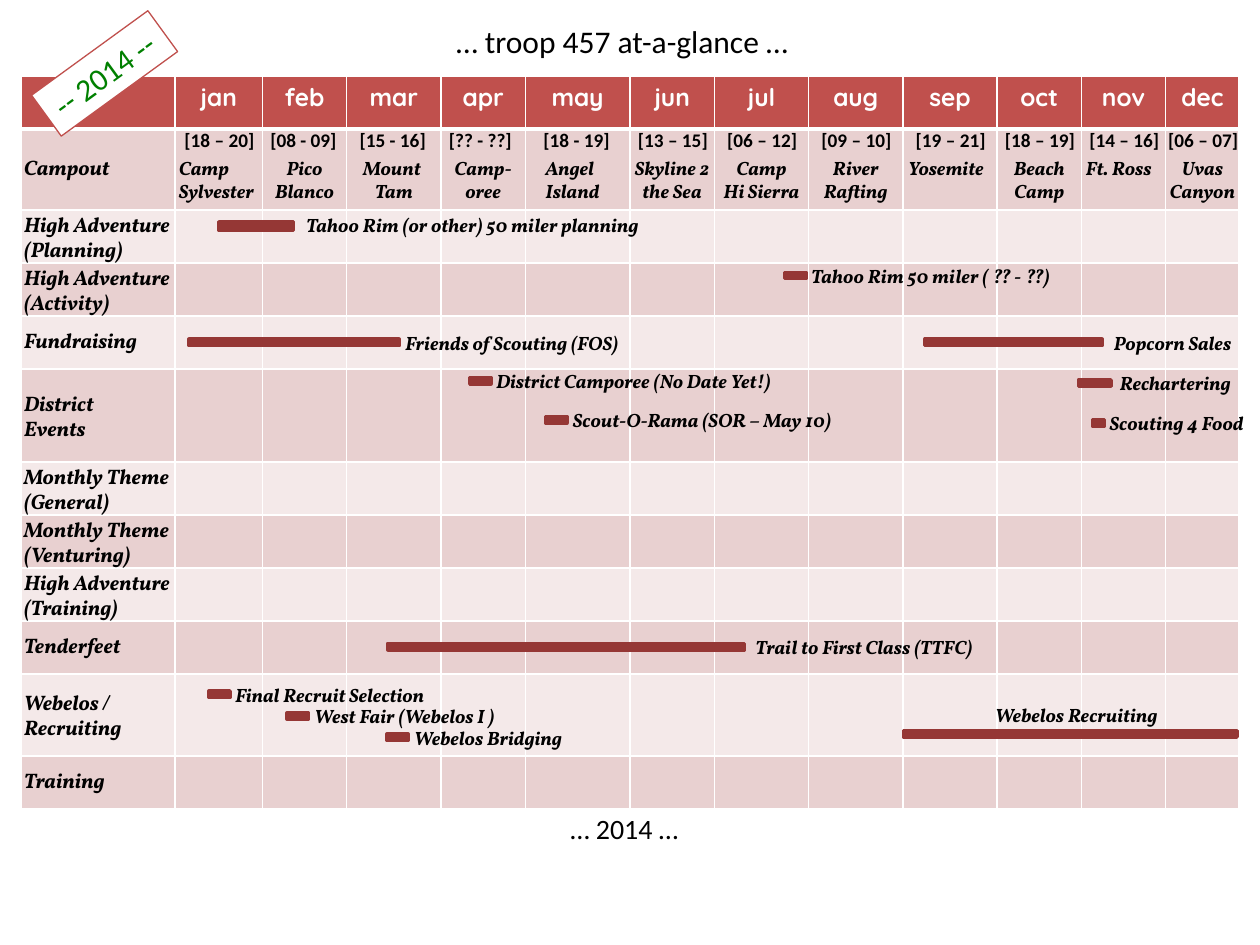
from lxml import etree
from pptx import Presentation
from pptx.dml.color import RGBColor
from pptx.enum import shapes, text
from pptx.oxml import ns
from pptx.util import Cm, Pt

RED, BAR, PINK, PALE = "C0504D", "953735", "E8D0D0", "F4E9E9"
WHITE, BLACK, GREEN = "FFFFFF", "000000", "008000"
LEFT, CENTER = text.PP_ALIGN.LEFT, text.PP_ALIGN.CENTER

COLUMNS = [3.1, 1.76, 1.7, 1.9, 1.7, 2.11, 1.7, 1.9, 1.9, 1.9, 1.7, 1.7, 1.48]
ROWS = [1.07, 1.63] + [1.07] * 3 + [1.87] + [1.07] * 4 + [1.65, 1.07]

# Month, campout date, place, place width, place alignment
CAMPOUTS = [
    ("jan", "[18 – 20]", "Camp\nSylvester", 2.11, LEFT),
    ("feb", "[08 - 09]", "Pico\nBlanco", 1.8, CENTER),
    ("mar", "[15 - 16]", "Mount \nTam", 1.78, CENTER),
    ("apr", "[?? - ??]", "Camp-\noree", 1.78, CENTER),
    ("may", "[18 - 19]", "Angel\nIsland", 1.8, LEFT),
    ("jun", "[13 – 15]", "Skyline 2\nthe Sea", 2.18, CENTER),
    ("jul", "[06 – 12]", "Camp\nHi Sierra", 2.16, CENTER),
    ("aug", "[09 – 10]", "River\nRafting", 1.93, CENTER),
    ("sep", "[19 – 21]", "Yosemite", 2.18, LEFT),
    ("oct", "[18 – 19]", "Beach\nCamp", 1.63, CENTER),
    ("nov", "[14 – 16]", "Ft. Ross", 2.03, LEFT),
    ("dec", "[06 – 07]", "Uvas\nCanyon", 1.96, CENTER),
]
# Row label, width
ACTIVITIES = [
    ("Campout", 2.34), ("High Adventure\n(Planning)", 3.61),
    ("High Adventure\n(Activity)", 3.61), ("Fundraising", 2.79),
    ("District\nEvents", 2.01), ("Monthly Theme\n(General)", 3.51),
    ("Monthly Theme\n(Venturing)", 3.51), ("High Adventure\n(Training)", 3.51),
    ("Tenderfeet", 2.49), ("Webelos /\nRecruiting", 2.51), ("Training", 2.16),
]
# Row, offset from row top, bar left, bar width, label left, label width, label
EVENTS = [
    (2, -0.05, 3.99, 1.5, 5.49, 7.42, "Tahoo Rim (or other) 50 miler planning"),
    (3, -0.1, 15.39, 0.43, 15.67, 5.54, "Tahoo Rim 50 miler ( ?? - ??)"),
    (4, 0.18, 3.38, 4.24, 7.49, 4.98, "Friends of Scouting (FOS)"),
    (4, 0.18, 18.21, 3.58, 21.77, 3.0, "Popcorn Sales"),
    (5, -0.12, 9.04, 0.43, 9.32, 6.32, "District Camporee (No Date Yet!)"),
    (5, 0.67, 10.57, 0.43, 10.87, 6.12, "Scout-O-Rama (SOR – May 10)"),
    (5, -0.07, 21.31, 0.66, 21.89, 3.0, "Rechartering"),
    (5, 0.73, 21.59, 0.25, 21.69, 3.3, "Scouting 4 Food"),
    (9, 0.16, 7.39, 7.19, 14.55, 5.16, "Trail to First Class (TTFC)"),
    (10, 0.05, 3.78, 0.43, 4.06, 4.5, "Final Recruit Selection"),
    (10, 0.49, 5.36, 0.43, 5.66, 4.39, "West Fair (Webelos I )"),
    (10, 0.92, 7.37, 0.43, 7.67, 3.58, "Webelos Bridging"),
    (10, 0.47, 17.78, 6.73, 19.38, 3.91, "Webelos Recruiting"),
]


def color(value):
    return RGBColor.from_string(value)


def write(frame, words, size, font="Calibri", ink=BLACK, bold=False,
          italic=False, align=LEFT):
    frame.text = words
    for para in frame.paragraphs:
        para.alignment = align
        for span in para.runs:
            span.font.name, span.font.size = font, Pt(size)
            span.font.bold, span.font.italic = bold, italic
            span.font.color.rgb = color(ink)


def add_label(page, left, top, width, height, words, size, **style):
    box = page.shapes.add_textbox(Cm(left), Cm(top), Cm(width), Cm(height))
    box.text_frame.word_wrap = False
    box.text_frame.auto_size = text.MSO_AUTO_SIZE.SHAPE_TO_FIT_TEXT
    write(box.text_frame, words, size, **style)


def add_script_label(page, left, top, width, height, words, size=11, align=LEFT):
    add_label(page, left, top, width, height, words, size, font="Vollkorn",
              bold=True, italic=True, align=align)


def add_rectangle(page, left, top, width, height, fill, line, weight):
    box = page.shapes.add_shape(shapes.MSO_SHAPE.RECTANGLE, Cm(left), Cm(top),
                                Cm(width), Cm(height))
    box.shadow.inherit = False
    box.fill.solid()
    box.fill.fore_color.rgb = color(fill)
    box.line.color.rgb = color(line)
    box.line.width = Pt(weight)
    return box


def paint_cell(cell, fill, bottom):
    cell.fill.solid()
    cell.fill.fore_color.rgb = color(fill)
    properties = cell._tc.get_or_add_tcPr()
    for place, (side, weight) in enumerate(
            [("lnL", 1), ("lnR", 1), ("lnT", 1), ("lnB", bottom)]):
        line = etree.Element(ns.qn("a:" + side), w=str(Pt(weight)))
        solid = etree.SubElement(line, ns.qn("a:solidFill"))
        etree.SubElement(solid, ns.qn("a:srgbClr"), val=WHITE)
        properties.insert(place, line)


def add_calendar(page, left, top):
    table = page.shapes.add_table(
        len(ROWS), len(COLUMNS), Cm(left), Cm(top), Cm(sum(COLUMNS)), Cm(sum(ROWS))).table
    for column, width in zip(table.columns, COLUMNS):
        column.width = Cm(width)
    for number, (row, height) in enumerate(zip(table.rows, ROWS)):
        row.height = Cm(height)
        fill = RED if number == 0 else PINK if number % 2 else PALE
        for cell in row.cells:
            paint_cell(cell, fill, 1 if number else 3)
    for number, campout in enumerate(CAMPOUTS, 1):
        write(table.cell(0, number).text_frame, campout[0], 14, "Quicksand",
              WHITE, bold=True, align=CENTER)


def add_row_labels(page, left, top):
    for number, (words, width) in enumerate(ACTIVITIES, 1):
        height = 1.27 if "\n" in words else 0.86
        middle = top + sum(ROWS[:number]) + ROWS[number] / 2
        add_script_label(page, left - 0.2, middle - height / 2, width, height, words, 12)


def add_campouts(page, left, top):
    for number, (_, date, place, width, align) in enumerate(CAMPOUTS, 1):
        middle = left + sum(COLUMNS[:number]) + COLUMNS[number] / 2
        add_label(page, middle - 0.94, top - 0.13, 1.93, 0.74, date, 11, bold=True)
        height = 1.19 if "\n" in place else 0.74
        add_script_label(page, middle - width / 2, top + 0.43, width, height,
                         place, align=align)


def add_events(page, left, top):
    for row, offset, bar_left, bar_width, label_left, label_width, words in EVENTS:
        label_top = top + sum(ROWS[:row]) + offset
        # The recruiting bar runs below its label, the others beside it
        drop = 0.67 if label_left < bar_left + bar_width - 1 else 0.29
        thickness = 0.18 if row == 2 else 0.13
        add_rectangle(page, left + bar_left, label_top + drop, bar_width,
                      thickness, BAR, BAR, 2)
        add_script_label(page, left + label_left, label_top, label_width, 0.74, words)


def add_headings(page):
    # Title
    title = page.shapes.title
    title.left, title.top, title.width, title.height = Cm(8.94), Cm(0.32), Cm(7.32), Cm(1.02)
    title.text_frame.word_wrap = False
    write(title.text_frame, "… troop 457 at-a-glance …", 18)
    # Year below the calendar
    add_label(page, 11.25, 16.23, 2.72, 0.94, "… 2014 …", 16)
    # Tilted year tag
    tag = add_rectangle(page, 0.66, 0.97, 2.9, 1.02, WHITE, RED, 0.75)
    tag.rotation = 324
    tag.text_frame.word_wrap = False
    write(tag.text_frame, "-- 2014 --", 18, ink=GREEN)


def main():
    deck = Presentation()
    deck.slide_width, deck.slide_height = Cm(25.4), Cm(19.05)
    page = deck.slides.add_slide(deck.slide_layouts[5])
    left, top = 0.43, 1.53
    add_calendar(page, left, top)
    add_row_labels(page, left, top)
    add_campouts(page, left, top + ROWS[0])
    add_events(page, left, top)
    add_headings(page)
    deck.save("out.pptx")


if __name__ == "__main__":
    main()
